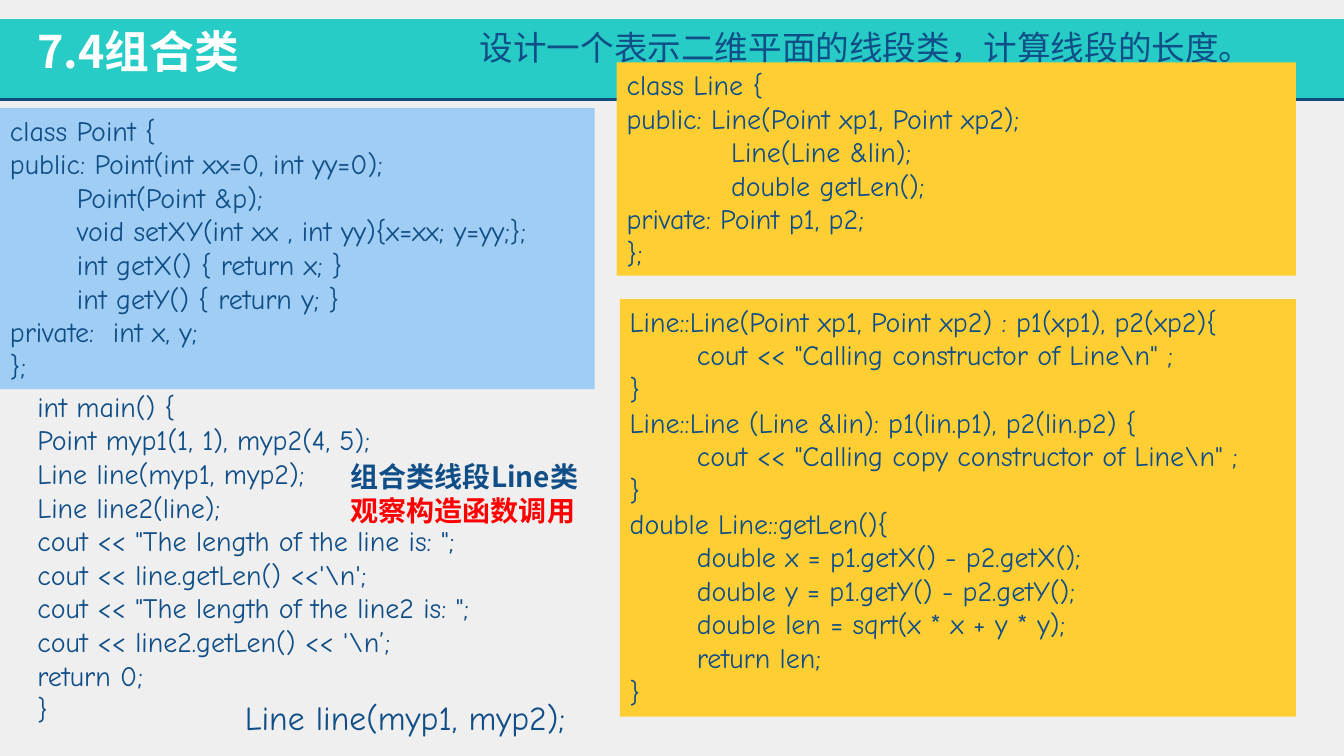
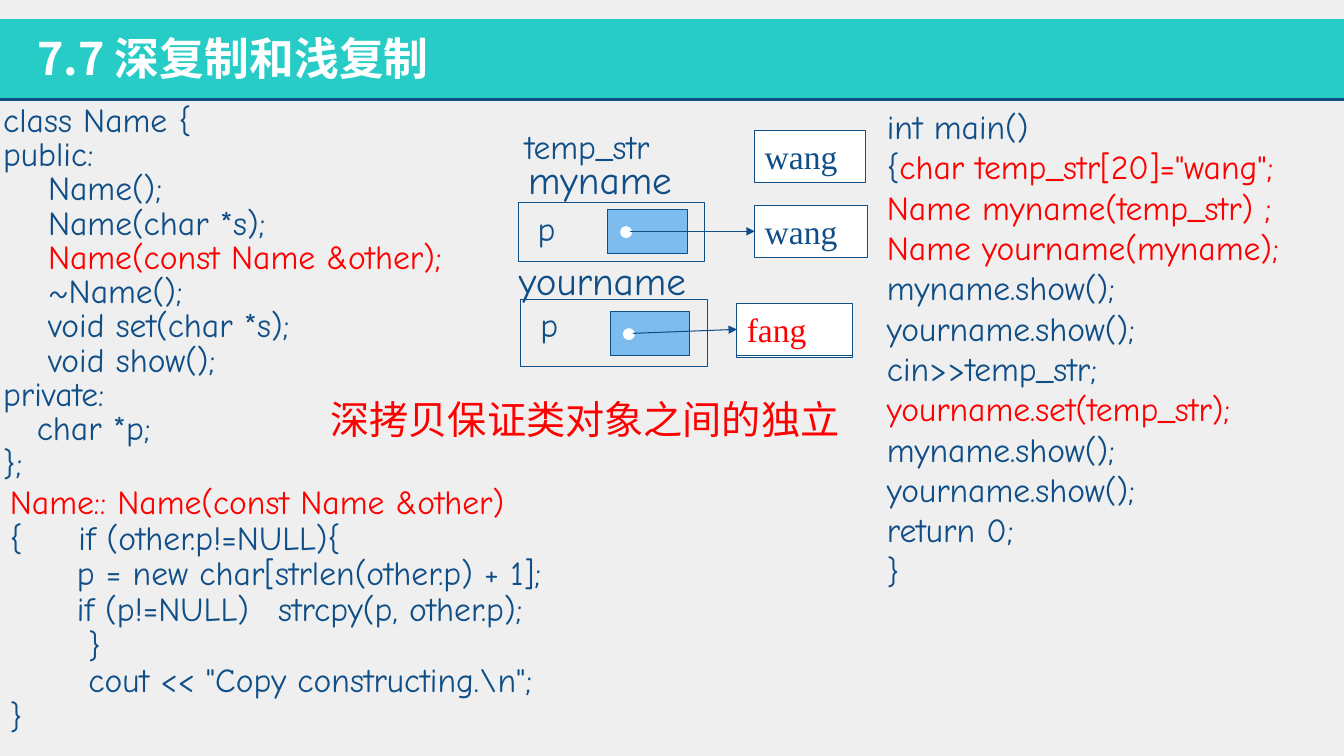
from lxml import etree
from pptx import Presentation
from pptx.dml.color import RGBColor
from pptx.enum.shapes import MSO_CONNECTOR as Connector, MSO_SHAPE as Shape
from pptx.enum.text import MSO_ANCHOR as Anchor, PP_ALIGN as Align
from pptx.oxml.ns import qn
from pptx.util import Cm, Pt

NAVY = RGBColor(0x10, 0x4E, 0x87)
RULE = RGBColor(0x10, 0x4D, 0x7E)
TEAL = RGBColor(0x26, 0xCC, 0xC5)
PAPER = RGBColor(0xEF, 0xEF, 0xEF)
WHITE = RGBColor(0xFF, 0xFF, 0xFF)
RED = RGBColor(0xFF, 0x00, 0x00)
SKY = RGBColor(0x9F, 0xCD, 0xF3)
BLUE = RGBColor(0x7C, 0xBC, 0xEE)
GOLD = RGBColor(0xFF, 0xCE, 0x33)

CODE_FONT = "Comic Neue"
CHINESE_FONT = "Noto Sans CJK JP"
VALUE_FONT = "Times New Roman"

WIDTH, HEIGHT = 33.87, 19.05
TAB_STEP = 1.69

POINT_CLASS = [
    "class Point {",
    "public: Point(int xx=0, int yy=0);",
    "  \tPoint(Point &p);",
    "\tvoid setXY(int xx , int yy){x=xx; y=yy;};",
    "\tint getX() { return x; }",
    "\tint getY() { return y; }",
    "private:  int x, y;",
    "};",
]
LINE_CLASS = [
    "class Line {",
    "public: Line(Point xp1, Point xp2);",
    "\t    Line(Line &lin);",
    "\t    double getLen();",
    "private: Point p1, p2;",
    "};",
]
LINE_METHODS = [
    "Line::Line(Point xp1, Point xp2) : p1(xp1), p2(xp2){",
    "\tcout << \"Calling constructor of Line\\n\" ;",
    "}",
    "Line::Line (Line &lin): p1(lin.p1), p2(lin.p2) {",
    "\tcout << \"Calling copy constructor of Line\\n\" ;",
    "}",
    "double Line::getLen(){",
    "\tdouble x = p1.getX() - p2.getX();",
    "\tdouble y = p1.getY() - p2.getY();",
    "\tdouble len = sqrt(x * x + y * y);",
    "\treturn len;",
    "}",
]
LINE_MAIN = [
    "int main() {",
    "Point myp1(1, 1), myp2(4, 5);",
    "Line line(myp1, myp2);",
    "Line line2(line);",
    "cout << \"The length of the line is: \";",
    "cout << line.getLen() <<'\\n';",
    "cout << \"The length of the line2 is: \";",
    "cout << line2.getLen() << '\\n’;",
    "return 0;",
    "}",
]
NAME_CLASS = [
    "class Name {",
    "public:",
    "    Name();",
    "    Name(char *s);",
    ("    ", "Name(const Name &other);"),
    "    ~Name();",
    "    void set(char *s);",
    "    void show();",
    "private:",
    "   char *p;",
    "};",
]
NAME_COPY = [
    ("", "Name:: Name(const Name &other)"),
    "{     if (other.p!=NULL){",
    "\tp = new char[strlen(other.p) + 1];",
    "\tif (p!=NULL)\tstrcpy(p, other.p);",
    "       }",
    "       cout << \"Copy constructing.\\n\";",
    "}",
]
NAME_MAIN = [
    "int main()",
    ("{", "char temp_str[20]=\"wang\";"),
    ("", "Name myname(temp_str) ;"),
    ("", "Name yourname(myname);"),
    "myname.show();",
    "yourname.show();",
    "cin>>temp_str;",
    ("", "yourname.set(temp_str);"),
    "myname.show();",
    "yourname.show();",
    "return 0;",
    "}",
]


def add_panel(page, box, fill=None, line=None, kind=Shape.RECTANGLE):
    panel = page.shapes.add_shape(kind, *map(Cm, box))
    panel.shadow.inherit = False
    if fill is None:
        panel.fill.background()
    else:
        panel.fill.solid()
        panel.fill.fore_color.rgb = fill
    if line is None:
        panel.line.fill.background()
    else:
        panel.line.color.rgb = line
        panel.line.width = Pt(0.75)
    return panel


def add_line(page, start, end, color, width, arrow=False):
    line = page.shapes.add_connector(
        Connector.STRAIGHT, *map(Cm, (*start, *end)))
    line.line.color.rgb = color
    line.line.width = Pt(width)
    if arrow:
        etree.SubElement(line.line._get_or_add_ln(), qn("a:tailEnd"), type="triangle")
    etree.SubElement(line._element.spPr, qn("a:effectLst"))


def add_tabs(para):
    tabs = etree.SubElement(para._p.get_or_add_pPr(), qn("a:tabLst"))
    for step in range(1, 5):
        etree.SubElement(tabs, qn("a:tab"), pos=str(Cm(step * TAB_STEP)), algn="l")


def write(shape, lines, size, font=CODE_FONT, color=NAVY, bold=False,
          spacing=1.0, gap=0, side=0.25):
    frame = shape.text_frame
    frame.word_wrap = True
    frame.vertical_anchor = Anchor.TOP
    frame.margin_left = frame.margin_right = Cm(side)
    frame.margin_top = frame.margin_bottom = Cm(0.13)
    for index, line in enumerate(lines):
        para = frame.add_paragraph() if index else frame.paragraphs[0]
        plain, marked = (line, "") if isinstance(line, str) else line
        if "\t" in plain:
            add_tabs(para)
        para.alignment = Align.LEFT
        para.line_spacing = spacing
        if index and gap:
            para.space_before = Pt(gap)
        para.font.size = Pt(size)
        para.font.name = font
        para.font.bold = bold
        para.font.color.rgb = color
        defaults = para._p.pPr.find(qn("a:defRPr"))
        etree.SubElement(defaults, qn("a:ea"), typeface=font)
        for text, tint in ((plain, color), (marked, RED)):
            if text:
                span = para.add_run()
                span.text = text
                span.font.color.rgb = tint


def add_text(page, box, lines, size, **style):
    write(page.shapes.add_textbox(*map(Cm, box)), lines, size, **style)


def add_page(deck, title, title_top):
    page = deck.slides.add_slide(deck.slide_layouts[6])
    page.background.fill.solid()
    page.background.fill.fore_color.rgb = PAPER
    add_panel(page, (0, 0.48, WIDTH, 2.03), TEAL)
    add_line(page, (0, 2.51), (WIDTH, 2.51), RULE, 2)
    add_text(page, (0.69, title_top, 22.3, 1.63), [title], 32,
             font=CHINESE_FONT, color=WHITE, bold=True)
    return page


def add_code_panel(page, box, fill, lines):
    write(add_panel(page, box, fill), lines, 20)


def add_value(page, box, value, color=NAVY):
    write(add_panel(page, box, WHITE, NAVY), [value], 24,
          font=VALUE_FONT, color=color)


def add_object(page, box, name, name_offset, pointer_top, value_box, value, color):
    left, top, width, height = box
    shift, rise = name_offset
    add_panel(page, box, line=NAVY)
    add_text(page, (left + 0.24, top, 2.2, 1.27), ["p"], 24)
    pointer_left = left + 2.25
    add_panel(page, (pointer_left, top + pointer_top, 2.01, 1.12), BLUE, NAVY)
    add_text(page, (left + shift, top - rise, 5.41, 1.45), [name], 28)
    dot_x, dot_y = pointer_left + 0.47, top + pointer_top + 0.57
    radius = 0.15
    add_panel(page, (dot_x - radius, dot_y - radius, 2 * radius, 2 * radius),
              WHITE, kind=Shape.OVAL)
    add_value(page, value_box, value, color)
    value_left, value_top, _, value_height = value_box
    add_line(page, (dot_x + 0.1, dot_y - 0.02),
             (value_left, value_top + value_height / 2), NAVY, 0.75, arrow=True)


def build_composition(deck):
    page = add_page(deck, "7.4组合类", 0.46)
    add_text(page, (11.84, 0.56, 20.7, 1.27),
             ["设计一个表示二维平面的线段类，计算线段的长度。"], 24, font=CHINESE_FONT)
    add_code_panel(page, (0, 2.72, 14.99, 7.09), SKY, POINT_CLASS)
    add_code_panel(page, (15.54, 1.57, 17.12, 5.38), GOLD, LINE_CLASS)
    add_code_panel(page, (15.62, 7.54, 17.04, 10.52), GOLD, LINE_METHODS)
    add_text(page, (5.92, 17.42, 8.99, 1.27), ["Line line(myp1, myp2);"], 24)
    add_text(page, (0.69, 9.68, 14.02, 8.81), LINE_MAIN, 20)
    add_text(page, (8.59, 11.46, 6.83, 1.96),
             ["组合类线段Line类", ("", "观察构造函数调用")], 20,
             font=CHINESE_FONT, bold=True)


def build_copying(deck):
    page = add_page(deck, "7.7 深复制和浅复制", 0.64)
    add_text(page, (0.08, 2.51, 11.84, 9.86), NAME_CLASS, 24, spacing=0.85, side=0)
    add_text(page, (0, 12.19, 17.7, 6.63), NAME_COPY, 24, spacing=0.8, gap=2.4)
    add_text(page, (22.35, 2.54, 11.52, 14.63), NAME_MAIN, 24, side=0)
    add_text(page, (12.98, 3.05, 4.27, 1.27), ["temp_str"], 24)
    add_value(page, (19.02, 3.3, 2.8, 1.3), "wang")
    add_object(page, (13.06, 5.11, 4.7, 1.47), "myname", (0, 1.33), 0.17,
               (19.02, 5.18, 2.84, 1.3), "wang", NAVY)
    add_panel(page, (18.57, 7.7, 2.92, 1.3), WHITE, NAVY)
    add_object(page, (13.13, 7.54, 4.7, 1.7), "yourname", (-0.3, 1.22), 0.31,
               (18.57, 7.65, 2.92, 1.3), "fang", RED)
    add_text(page, (8.08, 9.96, 13.74, 1.37), ["深拷贝保证类对象之间的独立"], 28,
             font=CHINESE_FONT, color=RED, spacing=0.9)


def main():
    deck = Presentation()
    deck.slide_width, deck.slide_height = Cm(WIDTH), Cm(HEIGHT)
    build_composition(deck)
    build_copying(deck)
    deck.save("out.pptx")


if __name__ == "__main__":
    main()
